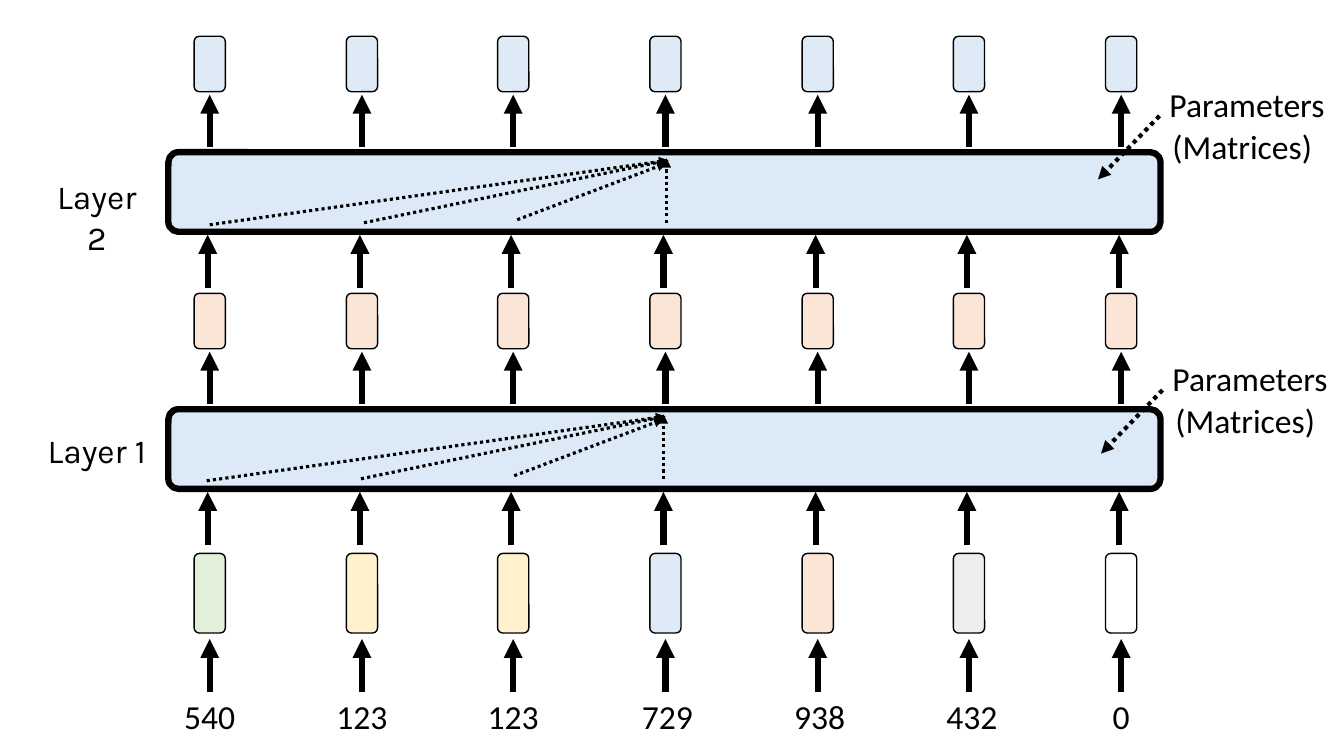
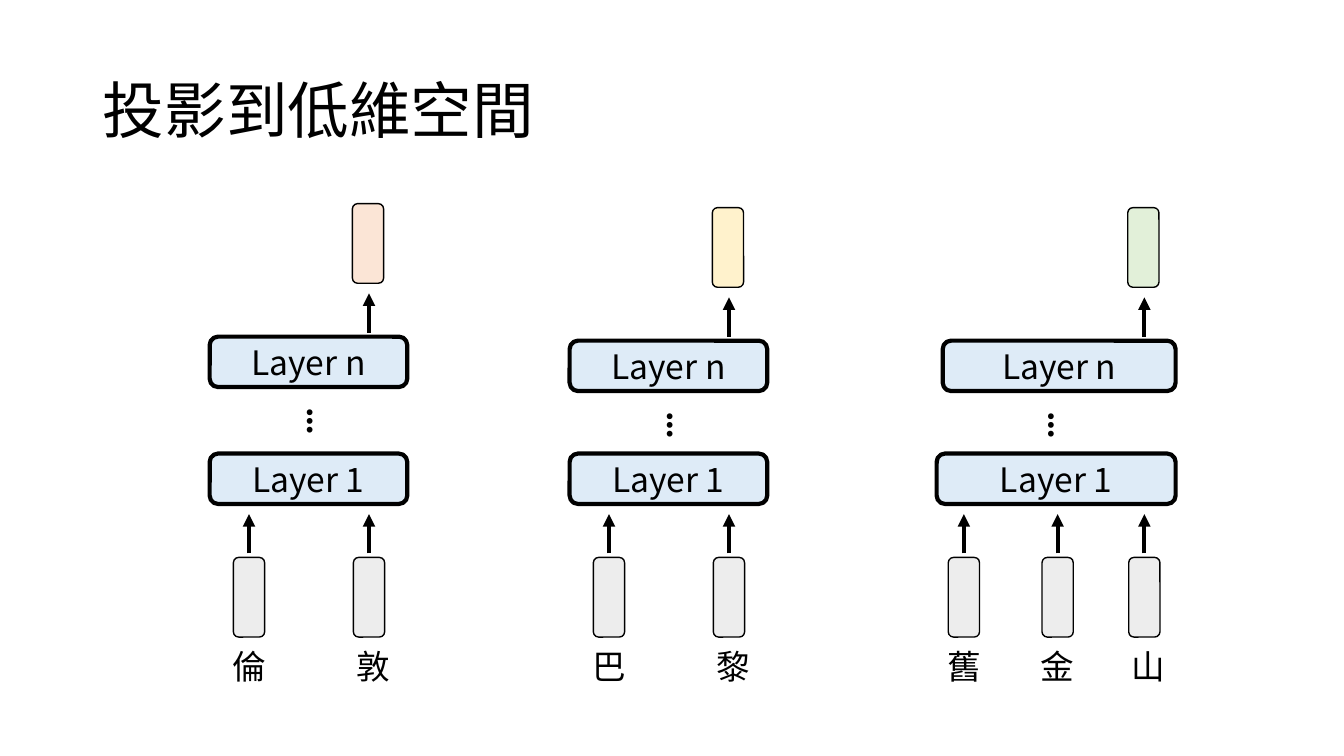
from lxml import etree
from pptx import Presentation
from pptx.dml.color import RGBColor
from pptx.enum.dml import MSO_LINE
from pptx.enum.shapes import MSO_CONNECTOR, MSO_SHAPE
from pptx.enum.text import MSO_ANCHOR, PP_ALIGN
from pptx.oxml.ns import qn
from pptx.util import Pt

ROUNDED = MSO_SHAPE.ROUNDED_RECTANGLE
STRAIGHT = MSO_CONNECTOR.STRAIGHT
DOTTED = MSO_LINE.ROUND_DOT
LEFT, CENTER = PP_ALIGN.LEFT, PP_ALIGN.CENTER
TOP, MIDDLE = MSO_ANCHOR.TOP, MSO_ANCHOR.MIDDLE

BLACK = RGBColor(0x00, 0x00, 0x00)
WHITE = RGBColor(0xFF, 0xFF, 0xFF)
BLUE = RGBColor(0xDE, 0xEB, 0xF7)
LAYER_BLUE = RGBColor(0xDC, 0xEA, 0xF7)
GREEN = RGBColor(0xE2, 0xF0, 0xD9)
YELLOW = RGBColor(0xFF, 0xF2, 0xCC)
ORANGE = RGBColor(0xFB, 0xE5, 0xD6)
GRAY = RGBColor(0xED, 0xED, 0xED)

LATIN, LABEL, CJK = "Calibri", "Karla", "Noto Sans CJK SC"
EMU_PER_PX = 9144
TITLE_ONLY, BLANK = 5, 6
NODE_W, NODE_H, SMALL_NODE_H = 31, 79, 55


def px(*lengths):
    return [round(length * EMU_PER_PX) for length in lengths]


class Deck:
    def __init__(self, width, height):
        self.prs = Presentation()
        self.prs.slide_width, self.prs.slide_height = px(width, height)
        self.s = None

    def slide(self, layout):
        self.s = self.prs.slides.add_slide(self.prs.slide_layouts[layout])

    def fill_text(self, sp, text, font=CJK, size=24, bold=False, align=CENTER,
                  anchor=TOP, spacing=1.0):
        tf = sp.text_frame
        tf.word_wrap = True
        tf.vertical_anchor = anchor
        p = tf.paragraphs[0]
        r = p.add_run()
        r.text = text
        r.font.color.rgb = BLACK
        formats = (
            (p, {"alignment": align, "line_spacing": spacing}),
            (r.font, {"name": font, "size": Pt(size), "bold": bold}),
        )
        for target, values in formats:
            for name, value in values.items():
                setattr(target, name, value)
        ea = etree.SubElement(r._r.get_or_add_rPr(), qn("a:ea"))
        ea.set("typeface", font)

    def title(self, text, x, y, w, h):
        sp = self.s.shapes.title
        sp.left, sp.top, sp.width, sp.height = px(x, y, w, h)
        self.fill_text(sp, text, size=44, align=LEFT, anchor=MIDDLE, spacing=0.9)

    def text(self, text, x, y, w, h=50, rotation=0, **style):
        sp = self.s.shapes.add_textbox(*px(x, y, w, h))
        sp.rotation = rotation
        self.fill_text(sp, text, **style)

    def box(self, x, y, w, h, fill, weight=1, radius=None, text=None):
        sp = self.s.shapes.add_shape(ROUNDED, *px(x, y, w, h))
        sp.shadow.inherit = False
        sp.fill.solid()
        sp.fill.fore_color.rgb = fill
        sp.line.color.rgb = BLACK
        sp.line.width = Pt(weight)
        if radius is not None:
            sp.adjustments[0] = radius
        if text:
            self.fill_text(sp, text, anchor=MIDDLE)

    def node(self, center, y, fill, h=NODE_H):
        self.box(center - NODE_W / 2, y, NODE_W, h, fill)

    def arrow(self, x1, y1, x2, y2, weight, dash=None):
        line = self.s.shapes.add_connector(STRAIGHT, *px(x1, y1, x2, y2))
        line.line.color.rgb = BLACK
        line.line.width = Pt(weight)
        if dash is not None:
            line.line.dash_style = dash
        sp_pr = line._element.spPr
        etree.SubElement(sp_pr.find(qn("a:ln")), qn("a:tailEnd"), type="triangle")
        etree.SubElement(sp_pr, qn("a:effectLst"))

    def arrow_up(self, x, bottom, top, weight):
        self.arrow(x, bottom, x, top, weight)


def layers_slide(deck):
    deck.slide(BLANK)
    tokens = (
        ("540", GREEN, 0), ("123", YELLOW, 0), ("123", YELLOW, 0),
        ("729", BLUE, 2), ("938", ORANGE, 2), ("432", GRAY, 3), ("0", WHITE, 0),
    )
    columns = [208 + round(904 * i / 6) for i in range(len(tokens))]

    for x, (token, fill, shift) in zip(columns, tokens):
        deck.arrow_up(x, 687, 634, 4.5)
        deck.node(x, 549, fill)
        deck.text(token, x + shift - 41, 685, 82, font=LATIN)

    layers = (
        ("Layer 1", 406, 422, ORANGE, 0, 0, 1153, 387),
        ("Layer 2", 151, 170, BLUE, 3, 1, 1150, 115),
    )
    for name, top, name_y, fill, dx, dy, note_x, note_y in layers:
        deck.box(167, top, 984, 79, LAYER_BLUE, weight=4.5, radius=0.125)
        for x in columns:
            deck.arrow_up(x - 2, top + 135, top + 82, 4.5)
            deck.arrow_up(x, top - 5, top - 57, 4.5)
            deck.node(x, top - 115, fill, SMALL_NODE_H)
        deck.text(name, 34, name_y, 124, font=LABEL)
        deck.text("Parameters", note_x, note_y - 37, 180, font=LATIN, align=LEFT)
        deck.text("(Matrices)", note_x + 3, note_y + 5, 177, font=LATIN, align=LEFT)
        deck.arrow(note_x, note_y, note_x - 61, note_y + 63, 3, DOTTED)
        attention = ((658, 69, 658, 5), (510, 66, 658, 10),
                     (358, 69, 660, 7), (205, 71, 660, 7))
        for x1, y1, x2, y2 in attention:
            deck.arrow(x1 + dx, top + dy + y1, x2 + dx, top + dy + y2, 2.25, DOTTED)


def projection_slide(deck):
    deck.slide(TITLE_ONLY)
    deck.title("投影到低維空間", 92, 40, 1150, 145)
    stacks = (
        ("倫敦", (247, 366), 208, 208, 404, 334, 295, ORANGE),
        ("巴黎", (604, 723), 565, 565, 761, 338, 652, YELLOW),
        ("舊金山", (956, 1049, 1135), 929, 935, 1166, 338, 1030, GREEN),
    )
    for word, columns, lower, upper, right, top, dots, fill in stacks:
        last = columns[-1]
        for char, x in zip(word, columns):
            deck.node(x, 553, GRAY)
            deck.arrow_up(x, 549, 510, 3)
            deck.text(char, x - (35 if x == last else 39), 636, 78)
        deck.box(lower, 450, right - lower, 50, BLUE, weight=3, text="Layer 1")
        deck.text("…", dots, top + 57, 50, 57, rotation=90,
                  font=LATIN, size=28, bold=True, align=LEFT)
        deck.box(upper, top, right - upper, 50, BLUE, weight=3, text="Layer n")
        deck.arrow_up(last, top - 4, top - 43, 3)
        deck.node(last - 1, top - 132, fill)


def main():
    deck = Deck(1333, 750)
    layers_slide(deck)
    projection_slide(deck)
    deck.prs.save("out.pptx")


if __name__ == "__main__":
    main()
